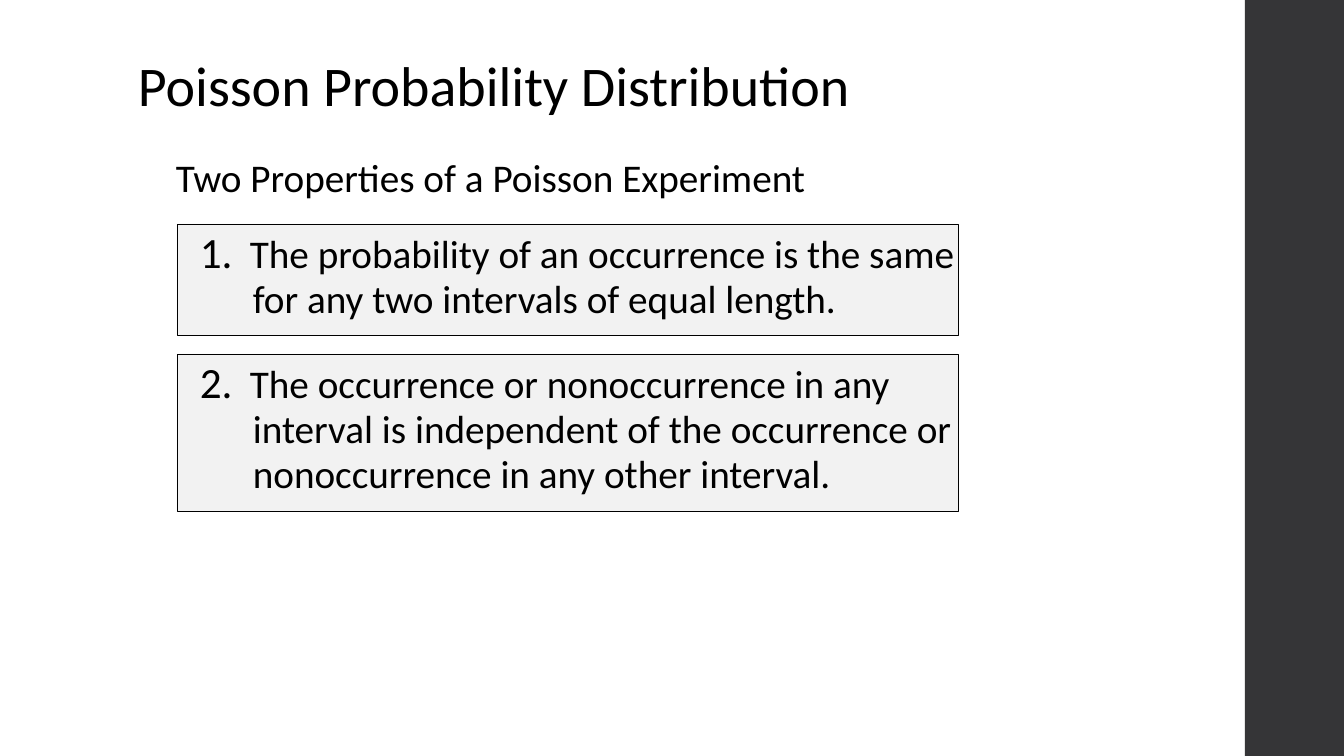
import pptx
import pptx.util
import pptx.dml.color
import pptx.enum.shapes
import pptx.enum.text
import lxml.etree

SCALE = 12192000 / 1344
HUES = {"page": "FFFFFF", "bar": "353537", "box": "F2F2F2", "ink": "000000"}
FONT = "Calibri"
MID = pptx.enum.text.MSO_ANCHOR.MIDDLE
RULES = [
    ["The probability of an occurrence is the same",
     "for any two intervals of equal length."],
    ["The occurrence or nonoccurrence in any",
     "interval is independent of the occurrence or",
     "nonoccurrence in any other interval."],
]


def px(num):
    """Turn px into EMU."""
    return pptx.util.Emu(round(num * SCALE))


def hue(name):
    """Look up a colour by name."""
    return pptx.dml.color.RGBColor.from_string(HUES[name])


def style(para, size):
    """Format the runs of a paragraph."""
    para.alignment = pptx.enum.text.PP_ALIGN.LEFT
    for run in para.runs:
        run.font.name = FONT
        run.font.size = pptx.util.Pt(size)
        run.font.color.rgb = hue("ink")


def label(slide, box, text, size, lead=0):
    """Place one line of text in a box."""
    frame = slide.shapes.add_textbox(*map(px, box)).text_frame
    frame.word_wrap = True
    frame.vertical_anchor = MID
    frame.text = text
    frame.paragraphs[0].space_before = pptx.util.Pt(lead)
    style(frame.paragraphs[0], size)


def panel(slide, box, fill, edge=None):
    """Place a filled rectangle, with an edge if one is named."""
    rect = pptx.enum.shapes.MSO_SHAPE.RECTANGLE
    shape = slide.shapes.add_shape(rect, *map(px, box))
    shape.shadow.inherit = False
    shape.fill.solid()
    shape.fill.fore_color.rgb = hue(fill)
    if edge:
        shape.line.color.rgb = hue(edge)
        shape.line.width = pptx.util.Pt(0.5)
    else:
        shape.line.fill.background()
    return shape


def indent(para, left, first):
    """Set the left margin and first line indent of a paragraph."""
    props = para._p.get_or_add_pPr()
    props.set("marL", str(px(left)))
    props.set("indent", str(px(first)))
    return props


def number(props, start):
    """Give a paragraph an automatic number."""
    space = pptx.oxml.ns.qn
    lxml.etree.SubElement(props, space("a:buSzPct"), val="110000")
    lxml.etree.SubElement(props, space("a:buAutoNum"),
                          type="arabicPeriod", startAt=str(start))


def rule(slide, box, lines, start):
    """Place a numbered property in a panel."""
    frame = panel(slide, box, "box", "ink").text_frame
    frame.word_wrap = True
    frame.vertical_anchor = MID
    frame.margin_right = 0
    frame.text = "\n".join(lines)
    for row, para in enumerate(frame.paragraphs):
        para.line_spacing = 0.8
        para.space_before = pptx.util.Pt(5.2)
        style(para, 28)
        if row:
            indent(para, 66, 0)
        else:
            number(indent(para, 63, -50), start)


def rules(slide, box):
    """Stack the numbered properties down from the top of a box."""
    left, top, width, gap = box
    for start, lines in enumerate(RULES, 1):
        high = 46 * len(lines) + 19
        rule(slide, (left, top, width, high), lines, start)
        top += high + gap


def main():
    """Build and save the slide."""
    deck = pptx.Presentation()
    deck.slide_width, deck.slide_height = px(1344), px(756)
    slide = deck.slides.add_slide(deck.slide_layouts[6])
    slide.background.fill.solid()
    slide.background.fill.fore_color.rgb = hue("page")
    panel(slide, (1245, 0, 99, 756), "bar")
    label(slide, (128, 39, 857, 90), "Poisson Probability Distribution", 40)
    label(slide, (166, 149, 857, 55),
          "Two Properties of a Poisson Experiment", 28, 5.6)
    rules(slide, (177, 224, 781, 19))
    deck.save("out.pptx")


if __name__ == "__main__":
    main()
